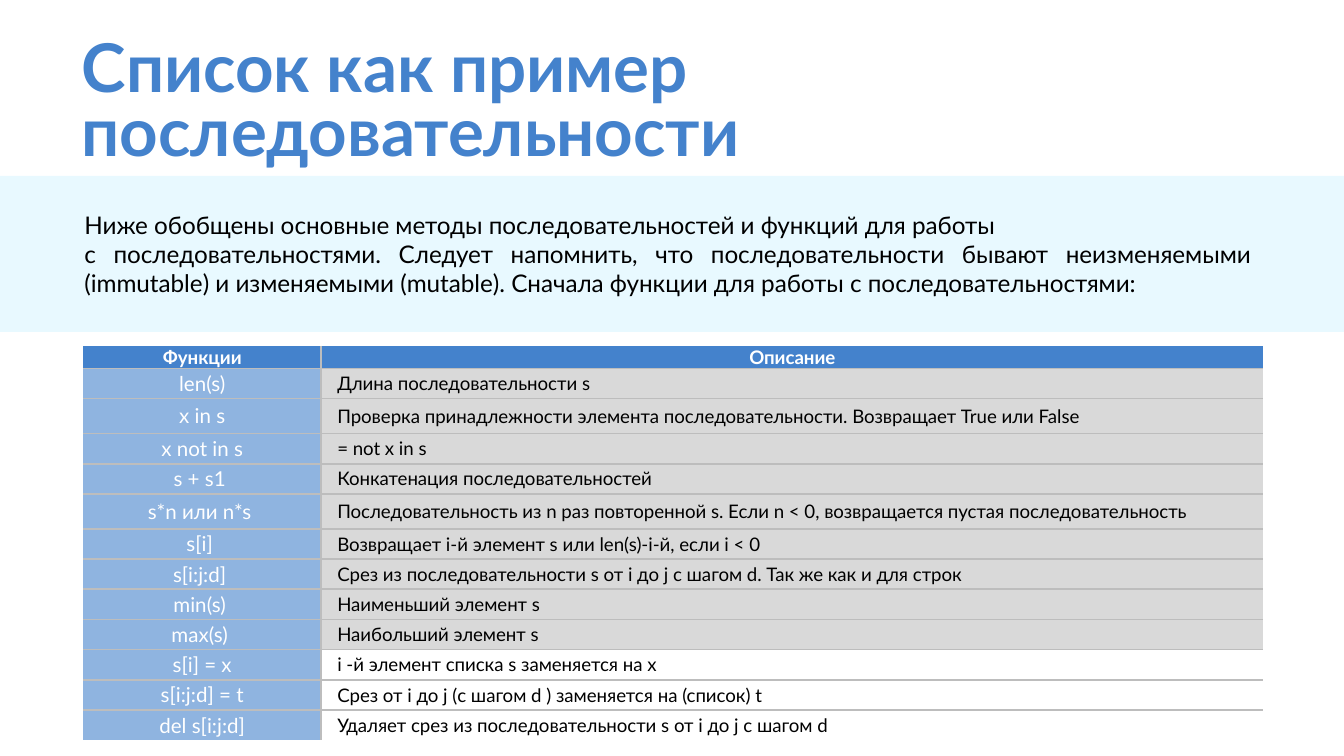
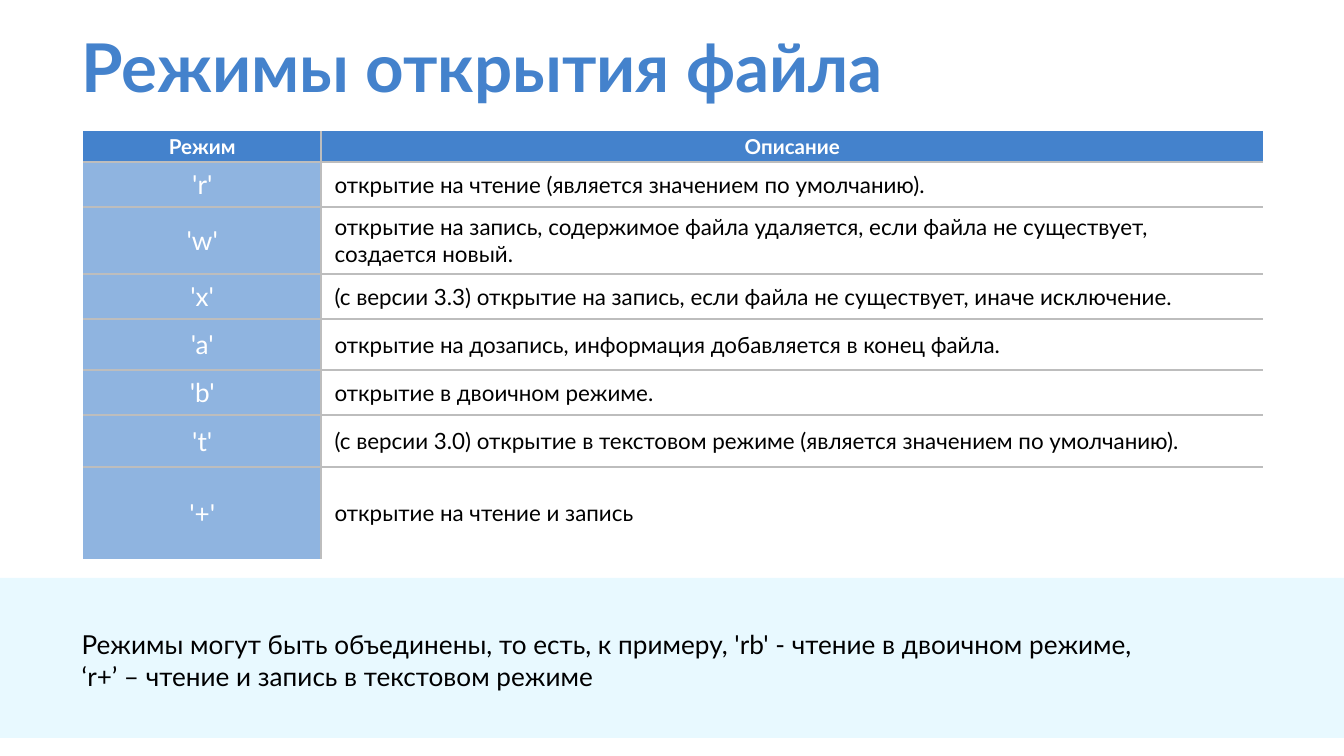
from lxml.etree import SubElement
from pptx import Presentation
from pptx.dml.color import RGBColor
from pptx.enum.shapes import MSO_SHAPE
from pptx.enum.text import MSO_ANCHOR, PP_ALIGN
from pptx.oxml.ns import qn
from pptx.util import Inches, Pt

BLUE = RGBColor(0x44, 0x82, 0xCC)
LIGHT_BLUE = RGBColor(0x8F, 0xB4, 0xE0)
PALE_BLUE = RGBColor(0xE8, 0xF9, 0xFF)
SHADED = RGBColor(0xD9, 0xD9, 0xD9)
RULE = RGBColor(0xBD, 0xBD, 0xBD)
WHITE = RGBColor(0xFF, 0xFF, 0xFF)
BLACK = RGBColor(0x00, 0x00, 0x00)
FONT = "Lato"

SLIDE_WIDTH = Inches(10)
SLIDE_HEIGHT = SLIDE_WIDTH * 9 // 16
GRID = SLIDE_WIDTH / 100
TABLE_LEFT = 6.2
TABLE_COLUMNS = (17.7, 70.1)
TITLE_LEFT, TITLE_TOP, TITLE_WIDTH = 5.1, 2.03, 94.9

SEQUENCE_FUNCTIONS = [
    ("len(s)", "Длина последовательности s"),
    ("x in s", "Проверка принадлежности элемента последовательности. "
               "Возвращает True или False"),
    ("x not in s", "= not x in s"),
    ("s + s1 ", "Конкатенация последовательностей"),
    ("s*n или n*s ", "Последовательность из n раз повторенной s. "
                     "Если n < 0, возвращается пустая последовательность"),
    ("s[i] ", "Возвращает i-й элемент s или len(s)-i-й, если i < 0"),
    ("s[i:j:d] ", "Срез из последовательности s от i до j с шагом d. "
                  "Так же как и для строк"),
    ("min(s) ", "Наименьший элемент s"),
    ("max(s) ", "Наибольший элемент s"),
]
LIST_FUNCTIONS = [
    ("s[i] = x", "i -й элемент списка s заменяется на x"),
    ("s[i:j:d] = t", "Срез от i до j (с шагом d ) заменяется на (список) t"),
    ("del s[i:j:d]", "Удаляет срез из последовательности s от i до j с шагом d"),
]
FILE_MODES = [
    ("'r'", "открытие на чтение (является значением по умолчанию)."),
    ("'w'", "открытие на запись, содержимое файла удаляется, "
            "если файла не существует, создается новый."),
    ("'x'", "(с версии 3.3) открытие на запись, "
            "если файла не существует, иначе исключение."),
    ("'a'", "открытие на дозапись, информация добавляется в конец файла."),
    ("'b'", "открытие в двоичном режиме."),
    ("'t'", "(с версии 3.0) открытие в текстовом режиме "
            "(является значением по умолчанию)."),
    ("'+'", "открытие на чтение и запись"),
]
SEQUENCE_INTRO = [
    "Ниже обобщены основные методы последовательностей и функций для работы ",
    "с последовательностями. Следует напомнить, что последовательности бывают "
    "неизменяемыми (immutable) и изменяемыми (mutable). "
    "Сначала функции для работы с последовательностями:",
]
MODES_NOTE = [
    "Режимы могут быть объединены, то есть, к примеру, 'rb' - чтение в двоичном режиме,",
    "‘r+’ – чтение и запись в текстовом режиме",
]


def span(*cells):
    return [round(cell * GRID) for cell in cells]


def style_text(paragraph, size, color, bold=False, align=PP_ALIGN.LEFT):
    paragraph.alignment = align
    for run in paragraph.runs:
        run.font.name = FONT
        run.font.size = Pt(size)
        run.font.bold = bold
        run.font.color.rgb = color


def add_text(slide, area, lines, size, color=BLACK, bold=False, align=PP_ALIGN.LEFT):
    frame = slide.shapes.add_textbox(*span(*area)).text_frame
    frame.word_wrap = True
    frame.text = "\n".join(lines)
    for paragraph in frame.paragraphs:
        style_text(paragraph, size, color, bold, align)
    return frame


def add_title(slide, title, height):
    area = (TITLE_LEFT, TITLE_TOP, TITLE_WIDTH, height)
    frame = add_text(slide, area, [title], 36, BLUE, True)
    frame.margin_left = frame.margin_right = Inches(0.1)
    frame.margin_top = frame.margin_bottom = Inches(0.1)
    frame.paragraphs[0].line_spacing = 0.8


def add_band(slide, top, height):
    band = slide.shapes.add_shape(MSO_SHAPE.RECTANGLE, *span(0, top, 100, height))
    band.shadow.inherit = False
    band.fill.solid()
    band.fill.fore_color.rgb = PALE_BLUE
    band.line.fill.background()


def rule_cell(cell, inner_edges):
    properties = cell._tc.get_or_add_tcPr()
    for edge, inner in zip("LRTB", inner_edges):
        line = SubElement(properties, qn(f"a:ln{edge}"), w=str(Pt(1)))
        if inner:
            fill = SubElement(line, qn("a:solidFill"))
            SubElement(fill, qn("a:srgbClr"), val=str(RULE))
        else:
            SubElement(line, qn("a:noFill"))


def fill_cell(cell, text, color, margins):
    cell.fill.solid()
    cell.fill.fore_color.rgb = color
    cell.vertical_anchor = MSO_ANCHOR.MIDDLE
    cell.margin_left = cell.margin_right = Inches(margins[0])
    cell.margin_top = cell.margin_bottom = Inches(margins[1])
    cell.text_frame.text = text
    return cell.text_frame.paragraphs[0]


def add_reference_table(slide, top, heights, headings, entries, sizes,
                        margins, indent=0, shaded=0):
    heading_size, key_size, description_size = sizes
    area = span(TABLE_LEFT, top, sum(TABLE_COLUMNS), sum(heights))
    table = slide.shapes.add_table(len(heights), 2, *area).table
    table.horz_banding = False
    for column, width in zip(table.columns, span(*TABLE_COLUMNS)):
        column.width = width
    for row, height in zip(table.rows, span(*heights)):
        row.height = height
    for index, texts in enumerate([headings, *entries]):
        cells = table.rows[index].cells
        for position, cell in enumerate(cells):
            rule_cell(cell, (position == 1, position == 0,
                             index > 0, index < len(entries)))
        if index == 0:
            for cell, heading in zip(cells, texts):
                paragraph = fill_cell(cell, heading, BLUE, (0.06, 0))
                style_text(paragraph, heading_size, WHITE, True, PP_ALIGN.CENTER)
            continue
        key = fill_cell(cells[0], texts[0], LIGHT_BLUE, margins)
        style_text(key, key_size, WHITE, align=PP_ALIGN.CENTER)
        background = SHADED if index <= shaded else WHITE
        description = fill_cell(cells[1], texts[1], background, margins)
        description._p.get_or_add_pPr().set("indent", str(Inches(indent)))
        style_text(description, description_size, BLACK)


def build_sequences(slide):
    entries = SEQUENCE_FUNCTIONS + LIST_FUNCTIONS
    heights = [1.6] + [2.6 if key in ("x in s", "s*n или n*s ") else 2.2
                       for key, _ in entries]
    add_reference_table(slide, 25.74, heights, ("Функции", "Описание"), entries,
                        (10, 11, 10), (0.02, 0.02), 0.1, len(SEQUENCE_FUNCTIONS))
    add_band(slide, 13.1, 11.6)
    add_text(slide, (5.3, 15.13, 88.7, 7.6), SEQUENCE_INTRO, 13,
             align=PP_ALIGN.JUSTIFY)
    add_title(slide, "Список как пример последовательности", 11.6)


def build_file_modes(slide):
    heights = (2.3, 3.3, 5, 3.3, 3.8, 3.3, 3.9, 6.8)
    add_reference_table(slide, 9.75, heights, ("Режим", "Описание"), FILE_MODES,
                        (11, 14, 12), (0.1, 0.05))
    add_title(slide, "Режимы открытия файла", 5.6)
    add_band(slide, 43, 11.9)
    add_text(slide, (5.1, 46.3, 84.4, 5.7), MODES_NOTE, 14)


def main():
    presentation = Presentation()
    presentation.slide_width = SLIDE_WIDTH
    presentation.slide_height = SLIDE_HEIGHT
    for build in (build_sequences, build_file_modes):
        build(presentation.slides.add_slide(presentation.slide_layouts[6]))
    presentation.save("out.pptx")


if __name__ == "__main__":
    main()
